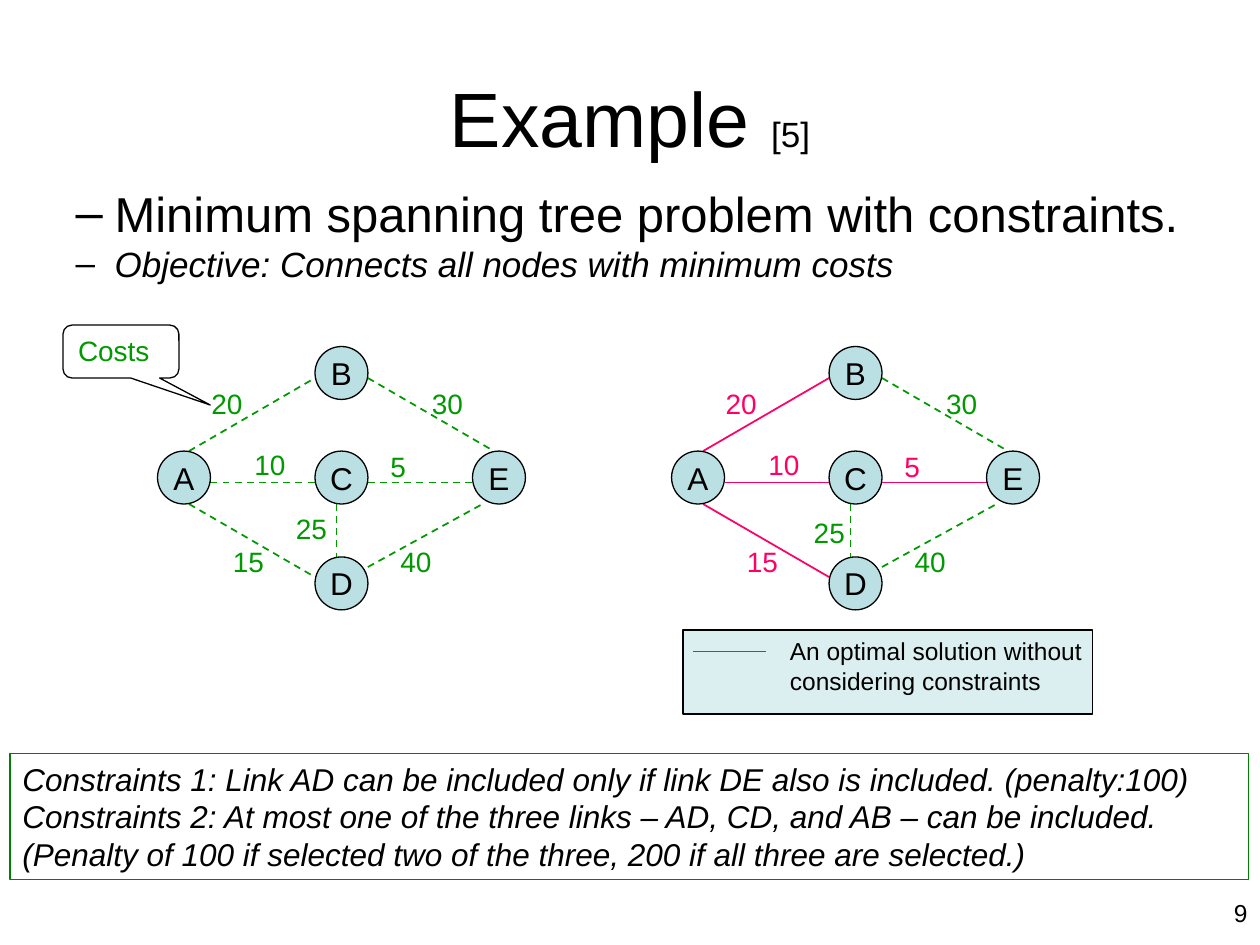
from lxml import etree
from pptx import Presentation
from pptx.dml.color import RGBColor
from pptx.enum import dml, shapes, text
from pptx.oxml import ns
from pptx.util import Inches, Pt

BLACK, GREEN, PINK, TEAL = "000000", "009900", "FF0066", "BBE0E3"
NODE = 0.42
NODES = {"A": (0, 0.83), "B": (1.25, 0), "C": (1.25, 0.83), "D": (1.25, 1.67), "E": (2.5, 0.83)}
LINKS = {
    "AC": (0.42, 1.08, 1.25, 1.08), "CE": (1.67, 1.08, 2.5, 1.08),
    "DE": (1.67, 1.75, 2.58, 1.25), "AD": (0.25, 1.25, 1.25, 1.83),
    "BE": (1.67, 0.25, 2.67, 0.83), "AB": (0.25, 0.83, 1.25, 0.25),
    "CD": (1.42, 1.25, 1.42, 1.67),
}
COSTS = {
    "AB": ("20", 0.33, 0.27), "BE": ("30", 2.08, 0.27), "AD": ("15", 0.5, 1.52),
    "DE": ("40", 1.83, 1.52), "AC": ("10", 0.67, 0.75), "CE": ("5", 1.75, 0.77),
    "CD": ("25", 1, 1.26),
}


def rgb(value):
    """Return the colour for a hex string."""
    return RGBColor.from_string(value)


def style(p, size, color=BLACK, italic=False, align=text.PP_ALIGN.LEFT):
    """Format a whole paragraph."""
    p.alignment = align
    f = p.font
    f.name, f.size, f.italic = "Arial", Pt(size), italic
    f.color.rgb = rgb(color)


def write(sp, lines, size, color=BLACK, anchor=text.MSO_ANCHOR.TOP, **options):
    """Fill a shape with paragraphs of one style."""
    tf = sp.text_frame
    tf.word_wrap, tf.vertical_anchor = True, anchor
    tf.text = "\n".join(lines)
    for p in tf.paragraphs:
        style(p, size, color, **options)


def add_label(s, x, y, w, h, label, size, color=BLACK, **options):
    """Add a text box with one paragraph."""
    tb = s.shapes.add_textbox(Inches(x), Inches(y), Inches(w), Inches(h))
    write(tb, [label], size, color, **options)


def add_box(s, kind, x, y, w, h, fill=None, line=BLACK, width=1):
    """Add an outlined preset shape, filled or empty."""
    sp = s.shapes.add_shape(kind, Inches(x), Inches(y), Inches(w), Inches(h))
    sp.shadow.inherit = False
    if fill:
        sp.fill.solid()
        sp.fill.fore_color.rgb = rgb(fill)
    else:
        sp.fill.background()
    sp.line.color.rgb, sp.line.width = rgb(line), Pt(width)
    return sp


def add_line(s, x1, y1, x2, y2, color, dashed=False):
    """Add a straight line, solid or dashed."""
    c = s.shapes.add_connector(
        shapes.MSO_CONNECTOR.STRAIGHT, Inches(x1), Inches(y1), Inches(x2), Inches(y2))
    c.line.color.rgb, c.line.width = rgb(color), Pt(1)
    if dashed:
        c.line.dash_style = dml.MSO_LINE.DASH
    etree.SubElement(c._element.spPr, ns.qn("a:effectLst"))


def add_heading(s, x, y, w, h):
    """Place the title with its small reference mark."""
    title = s.shapes.title
    title.left, title.top, title.width, title.height = map(Inches, (x, y, w, h))
    write(title, ["Example "], 44, anchor=text.MSO_ANCHOR.MIDDLE, align=text.PP_ALIGN.CENTER)
    r = title.text_frame.paragraphs[0].add_run()
    r.text, r.font.size = "[5]", Pt(20)


def add_goals(s, x, y, w, h):
    """Place the dashed list in the body placeholder."""
    body = s.placeholders[1]
    body.left, body.top, body.width, body.height = map(Inches, (x, y, w, h))
    write(body, ["Minimum spanning tree problem with constraints.",
                 "Objective: Connects all nodes with minimum costs"], 28)
    body.text_frame.auto_size = text.MSO_AUTO_SIZE.NONE
    for p, before in zip(body.text_frame.paragraphs, (7, 5)):
        p.level, p.line_spacing, p.space_before = 1, 0.8, Pt(before)
        pPr = p._p.get_or_add_pPr()
        pPr.set("marL", str(Inches(0.81)))
        pPr.set("indent", str(Inches(-0.31)))
        bullet = etree.Element(ns.qn("a:buChar"), char="–")
        pPr.insert_element_before(bullet, "a:tabLst", "a:defRPr", "a:extLst")
    style(p, 20, italic=True)


def add_graph(s, x, y, chosen=(), nudge=(0, 0)):
    """Draw the network from its top left corner, with chosen links solid."""
    for link, (x1, y1, x2, y2) in LINKS.items():
        solid = link in chosen
        add_line(s, x + x1, y + y1, x + x2, y + y2, PINK if solid else GREEN, not solid)
    for name, (dx, dy) in NODES.items():
        sp = add_box(s, shapes.MSO_SHAPE.OVAL, x + dx, y + dy, NODE, NODE, TEAL, width=0.75)
        tf = sp.text_frame
        tf.margin_left = tf.margin_right = tf.margin_top = tf.margin_bottom = 0
        write(sp, [name], 18, anchor=text.MSO_ANCHOR.MIDDLE, align=text.PP_ALIGN.CENTER)
    for link, (cost, dx, dy) in COSTS.items():
        if link == "CD":
            dx, dy = dx + nudge[0], dy + nudge[1]
        add_label(s, x + dx, y + dy, 0.58, 0.37, cost, 16, PINK if link in chosen else GREEN)


def add_callout(s, x, y, w, h):
    """Point out the link costs."""
    sp = add_box(s, shapes.MSO_SHAPE.ROUNDED_RECTANGULAR_CALLOUT, x, y, w, h, width=0.75)
    for i, value in enumerate((0.77, 1.01, 0.17)):
        sp.adjustments[i] = value
    write(sp, ["Costs"], 16, GREEN)


def add_legend(s, x, y, w, h):
    """Explain the solid links."""
    sp = add_box(s, shapes.MSO_SHAPE.RECTANGLE, x, y, w, h, TEAL)
    color = sp._element.spPr.find(ns.qn("a:solidFill"))[0]
    etree.SubElement(color, ns.qn("a:alpha"), val="50000")
    add_line(s, x + 0.08, y + 0.17, x + 0.66, y + 0.17, PINK)
    add_label(s, x + 0.75, y, 2.85, 0.57,
              "An optimal solution without considering constraints", 14)


def add_constraints(s, x, y, w, h):
    """List the constraints and penalties."""
    sp = add_box(s, shapes.MSO_SHAPE.RECTANGLE, x, y, w, h, line="008000")
    write(sp, [
        "Constraints 1: Link AD can be included only if link DE also is included. (penalty:100)",
        "Constraints 2: At most one of the three links – AD, CD, and AB – can be included.",
        "(Penalty of 100 if selected two of the three, 200 if all three are selected.)",
    ], 18, italic=True)


def main():
    """Build the slide."""
    prs = Presentation()
    prs.slide_width, prs.slide_height = Inches(10), Inches(7.5)
    s = prs.slides.add_slide(prs.slide_layouts[1])
    add_heading(s, 0.5, 0.3, 9, 1.25)
    add_goals(s, 0, 1.5, 10, 1)
    add_graph(s, 1.25, 2.75)
    add_graph(s, 5.33, 2.75, chosen=("AB", "AC", "AD", "CE"), nudge=(0.03, 0.03))
    add_callout(s, 0.5, 2.58, 0.92, 0.42)
    add_legend(s, 5.42, 5, 3.25, 0.67)
    add_constraints(s, 0.08, 5.98, 9.83, 1)
    add_label(s, 8.83, 7.08, 1.17, 0.27, "9", 14, align=text.PP_ALIGN.RIGHT)
    prs.save("out.pptx")


if __name__ == "__main__":
    main()
